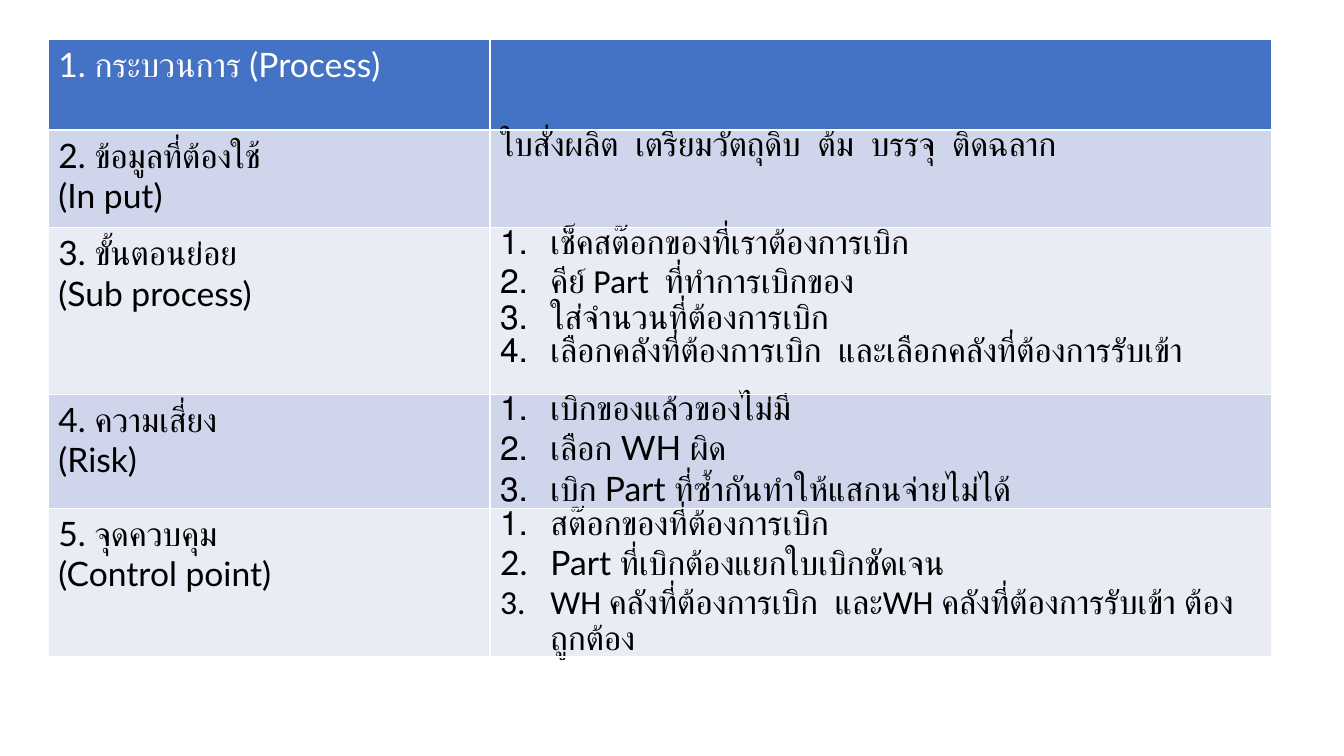
from dataclasses import dataclass

from lxml.etree import SubElement
from pptx import Presentation
from pptx.dml.color import RGBColor
from pptx.oxml.ns import qn
from pptx.table import _Cell as Cell
from pptx.util import Inches, Pt

HEADER, BAND_DARK, BAND_LIGHT = "4472C4", "CFD5EA", "E9EBF5"
WHITE, BLACK = "FFFFFF", "000000"
COLUMN_WIDTHS = (4.38, 7.75)


@dataclass(frozen=True)
class Step:
    height: float
    heading: tuple[str, ...]
    details: tuple[str, ...] = ()
    detail_fonts: tuple[str, ...] = ("Lato",)
    numbered: bool = True


STEPS = (
    Step(0.9, ("1. กระบวนการ (Process)",)),
    Step(0.97, ("2. ข้อมูลที่ต้องใช้", "(In put)"),
         ("ใบสั่งผลิต  เตรียมวัตถุดิบ  ต้ม  บรรจุ  ติดฉลาก",), numbered=False),
    Step(1.65, ("3. ขั้นตอนย่อย", "(Sub process)"),
         ("เช็คสต๊อกของที่เราต้องการเบิก",
          "คีย์ Part  ที่ทำการเบิกของ",
          "ใส่จำนวนที่ต้องการเบิก",
          "เลือกคลังที่ต้องการเบิก  และเลือกคลังที่ต้องการรับเข้า"),
         ("Calibri",) * 4),
    Step(1.12, ("4. ความเสี่ยง", "(Risk)"),
         ("เบิกของแล้วของไม่มี",
          "เลือก WH ผิด",
          "เบิก Part ที่ซ้ำกันทำให้แสกนจ่ายไม่ได้"),
         ("Lato",) * 3),
    Step(1.12, ("5. จุดควบคุม", "(Control point)"),
         ("สต๊อกของที่ต้องการเบิก",
          "Part ที่เบิกต้องแยกใบเบิกชัดเจน",
          "WH คลังที่ต้องการเบิก  และWH คลังที่ต้องการรับเข้า ต้องถูกต้อง"),
         ("Lato", "Lato", "Calibri")),
)


def rgb(color: str) -> RGBColor:
    return RGBColor.from_string(color)


def write(cell: Cell, lines: tuple[str, ...], *, fonts: tuple[str, ...],
          color: str = BLACK, size: float = 24, numbered: bool = False) -> None:
    """Write one paragraph per line, each in its own font."""
    for index, (line, font_name) in enumerate(zip(lines, fonts)):
        frame = cell.text_frame
        paragraph = frame.add_paragraph() if index else frame.paragraphs[0]
        if numbered:
            properties = paragraph._p.get_or_add_pPr()
            properties.set("marL", str(Inches(0.5)))
            properties.set("indent", str(-Inches(0.5)))
            SubElement(properties, qn("a:buFont")).set("typeface", "+mj-lt")
            SubElement(properties, qn("a:buAutoNum")).set("type", "arabicPeriod")
        run = paragraph.add_run()
        run.text = line
        run.font.name = font_name
        run.font.size = Pt(size)
        run.font.bold = False
        run.font.color.rgb = rgb(color)


def fill_cell(cell: Cell, color: str) -> None:
    cell.fill.solid()
    cell.fill.fore_color.rgb = rgb(color)


def main() -> None:
    deck = Presentation()
    deck.slide_width, deck.slide_height = Inches(13.33), Inches(7.5)
    slide = deck.slides.add_slide(deck.slide_layouts[6])

    process_table = slide.shapes.add_table(
        len(STEPS), len(COLUMN_WIDTHS), Inches(0.48), Inches(0.39),
        Inches(sum(COLUMN_WIDTHS)), Inches(sum(step.height for step in STEPS))).table
    for column, width in zip(process_table.columns, COLUMN_WIDTHS):
        column.width = Inches(width)

    for index, step in enumerate(STEPS):
        process_table.rows[index].height = Inches(step.height)
        heading, details = (process_table.cell(index, column) for column in (0, 1))
        band = (BAND_DARK if index % 2 else BAND_LIGHT) if index else HEADER
        for cell in (heading, details):
            fill_cell(cell, band)
        write(heading, step.heading, fonts=("Lato",) * len(step.heading),
              color=BLACK if index else WHITE)
        details.margin_top = details.margin_bottom = 0
        write(details, step.details, fonts=step.detail_fonts, numbered=step.numbered)

    deck.save("out.pptx")


if __name__ == "__main__":
    main()
